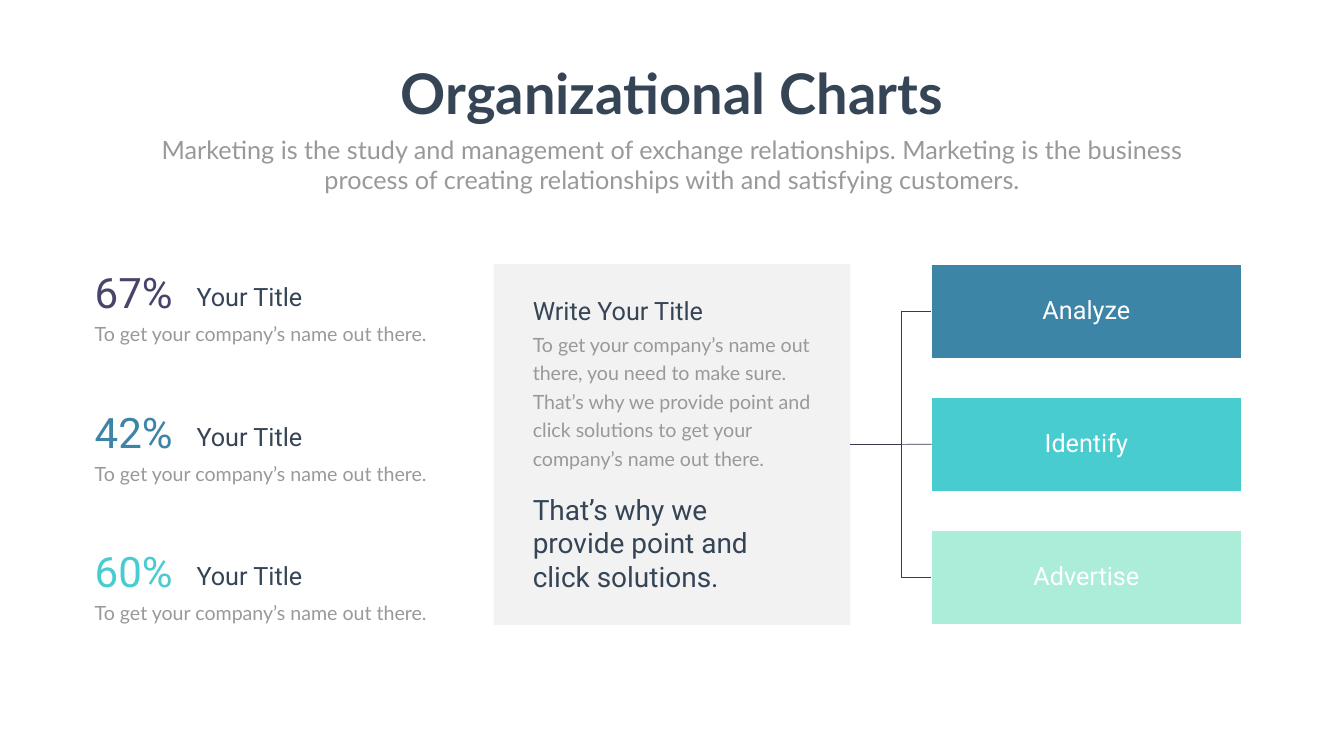
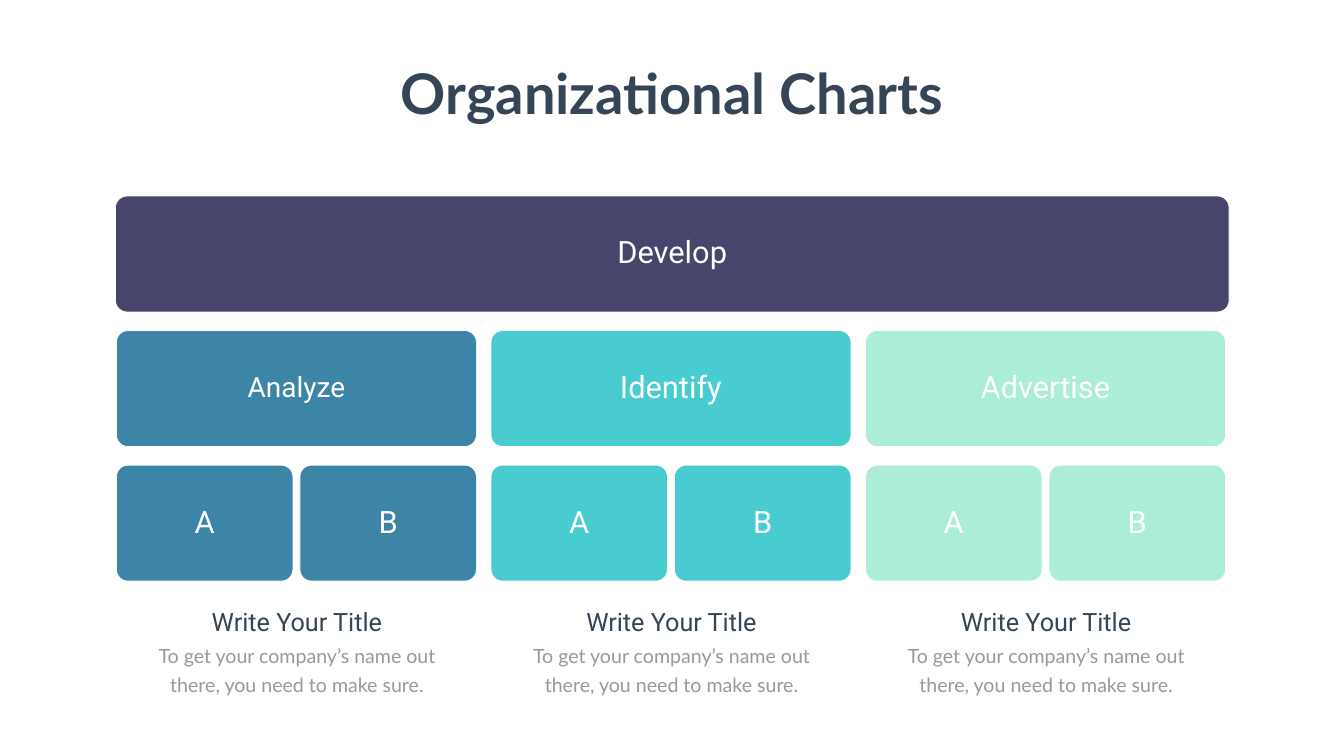
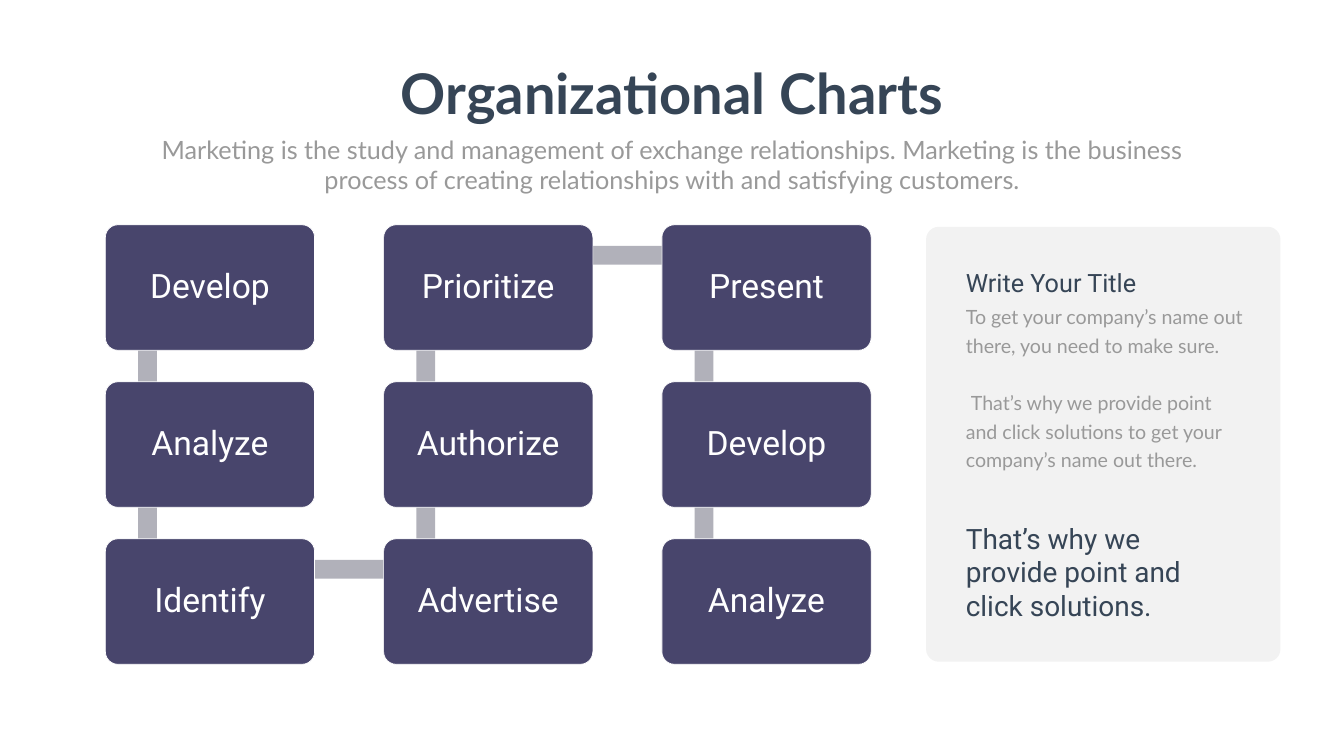
import pptx
import pptx.util
import pptx.dml.color
import pptx.enum.shapes
import pptx.enum.text
import pptx.oxml.ns
from lxml import etree

Inches, Pt = pptx.util.Inches, pptx.util.Pt
Shape = pptx.enum.shapes.MSO_SHAPE
Align = pptx.enum.text.PP_ALIGN
Anchor = pptx.enum.text.MSO_ANCHOR
Fit = pptx.enum.text.MSO_AUTO_SIZE
qn = pptx.oxml.ns.qn

COLORS = {
    "plum": "48456C", "blue": "3C85A7", "teal": "48CCCF", "mint": "ABEDD8",
    "ink": "364556", "gray": "999999", "panel": "808080", "bar": "B1B1BA",
    "line": "3A3756", "white": "FFFFFF",
}
WIDTH, HEIGHT = 26.66, 15
LEAD = 40.8  # line pitch of body text, in points

TITLE = "Organizational Charts"
INTRO = ("Marketing is the study and management of exchange relationships. "
         "Marketing is the business process of creating relationships with "
         "and satisfying customers.")
HEAD = "Write Your Title"
SHORT = "To get your company’s name out there, you need to make sure."
LONG = ("That’s why we provide point and click solutions to get your "
        "company’s name out there.")
QUOTE = "That’s why we provide point and click solutions."

STATS = [("67%", "plum"), ("42%", "blue"), ("60%", "teal")]
STAT_HEAD = "Your Title"
STAT_BODY = "To get your company’s name out there."
STEPS = [("Analyze", "blue", 40), ("Identify", "teal", 44),
         ("Advertise", "mint", 44)]
ROOT = "Develop"
PARTS = ["A", "B"]
CHAIN = [["Develop", "Analyze", "Identify"],
         ["Prioritize", "Authorize", "Advertise"],
         ["Present", "Develop", "Analyze"]]


def rgb(name):
    return pptx.dml.color.RGBColor.from_string(COLORS[name])


def write(shape, *paras, size, color="ink", font="Roboto", bold=False,
          align=Align.LEFT, lead=None, gap=0, indent=0):
    """Fill a shape with paragraphs; gap and indent apply after the first."""
    frame = shape.text_frame
    for i, words in enumerate(paras):
        para = frame.paragraphs[0] if i == 0 else frame.add_paragraph()
        run = para.add_run()
        run.text = words
        para.alignment = align
        if lead:
            para.line_spacing = lead
        if i and gap:
            para.space_before = Pt(gap)
        if i and indent:
            para._p.get_or_add_pPr().set("indent", str(Inches(indent)))
        run.font.size, run.font.name, run.font.bold = Pt(size), font, bold
        run.font.color.rgb = rgb(color)


def label(slide, x, y, w, h, *paras, wrap=True, **form):
    box = slide.shapes.add_textbox(Inches(x), Inches(y), Inches(w), Inches(h))
    box.text_frame.word_wrap = wrap
    box.text_frame.auto_size = Fit.SHAPE_TO_FIT_TEXT
    write(box, *paras, **form)


def block(slide, x, y, w, h, fill, words="", size=36, curve=0, edge=True,
          alpha=None):
    """Draw a filled box, rounded when curve is set, with a centred label."""
    kind = Shape.ROUNDED_RECTANGLE if curve else Shape.RECTANGLE
    box = slide.shapes.add_shape(kind, Inches(x), Inches(y),
                                 Inches(w), Inches(h))
    box.shadow.inherit = False
    if curve:
        box.adjustments[0] = curve
    box.fill.solid()
    box.fill.fore_color.rgb = rgb(fill)
    if alpha:
        tone = box._element.spPr.find(qn("a:solidFill"))[0]
        etree.SubElement(tone, qn("a:alpha")).set("val", str(alpha * 1000))
    if edge:
        box.line.color.rgb = rgb("white")
        box.line.width = Pt(1)
    else:
        box.line.fill.background()
    if words:
        frame = box.text_frame
        frame.word_wrap = True
        frame.vertical_anchor = Anchor.MIDDLE
        write(box, words, size=size, color="white", align=Align.CENTER,
              lead=0.9)
    return box


def body(slide, x, y, w, rows, *paras, **form):
    label(slide, x, y, w, 0.05 + 0.575 * rows, *paras, size=28, font="Lato",
          color="gray", lead=Pt(LEAD), **form)


def note(slide, x, y, rows, *paras, extra=0, align=Align.LEFT, **form):
    """Put a heading over body text; extra widens the body on both sides."""
    body(slide, x - extra, y + 0.65, 5.72 + 2 * extra, rows, *paras,
         align=align, **form)
    label(slide, x, y, 5.72, 0.71, HEAD, size=36, align=align)


def quote(slide, x, y):
    label(slide, x, y, 5.31, 2.12, QUOTE, size=40)


def start(deck, intro=True):
    """Add a slide with the shared title and, if wanted, the intro."""
    slide = deck.slides.add_slide(deck.slide_layouts[6])
    label(slide, 7.7, 1.12, 11.26, 1.45, TITLE, wrap=False, size=80,
          font="Lato", bold=True, align=Align.CENTER)
    if intro:
        label(slide, 2.92, 2.61, 20.82, 1.31, INTRO, size=36, font="Lato",
              color="gray", align=Align.CENTER)
    return slide


def ink(line):
    line.color.rgb = rgb("line")
    line.width = Pt(1)


def elbow(slide, *points):
    spots = [(Inches(x), Inches(y)) for x, y in points]
    pen = slide.shapes.build_freeform(*spots[0])
    pen.add_line_segments(spots[1:], close=False)
    path = pen.convert_to_shape()
    path.shadow.inherit = False
    path.fill.background()
    ink(path.line)


def link(slide, left, right):
    wire = slide.shapes.add_connector(
        pptx.enum.shapes.MSO_CONNECTOR.STRAIGHT, 0, 0, 0, 0)
    wire.begin_connect(left, 3)
    wire.end_connect(right, 1)
    ink(wire.line)
    etree.SubElement(wire._element.spPr, qn("a:effectLst"))


def branch(deck):
    slide = start(deck)
    left, top, step, tall = 18.48, 5.24, 2.64, 1.87
    mid, bend, edge = top + step + tall / 2, 17.87, 16.87
    for side in (-1, 1):
        end = mid + side * step
        elbow(slide, (edge, mid), (bend, mid), (bend, end), (left, end))
    panel = block(slide, 9.79, top, 7.08, 7.16, "panel", edge=False, alpha=10)
    boxes = [block(slide, left, top + i * step, 6.14, tall, color, name)
             for i, (name, color, _) in enumerate(STEPS)]
    link(slide, panel, boxes[1])
    note(slide, 10.47, 5.8, 5, f"{SHORT} {LONG}")
    quote(slide, 10.47, 9.72)
    for i, (share, color) in enumerate(STATS):
        y = top + i * 2.77
        body(slide, 1.78, y + 1, 7.08, 1, STAT_BODY)
        label(slide, 3.8, y + 0.29, 3.1, 0.71, STAT_HEAD, size=36)
        label(slide, 1.78, y, 2.09, 1.11, share, size=60, color=color)


def tree(deck):
    slide = start(deck, intro=False)
    left, top, tall, wide, part = 2.31, 3.89, 2.3, 7.14, 3.5
    across, down = 7.43, 2.67
    block(slide, 2.29, top, 22.09, tall, "plum", ROOT, 44, curve=0.1)
    for i, (name, color, size) in enumerate(STEPS):
        x = left + i * across
        block(slide, x, top + down, wide, tall, color, name, size, curve=0.1)
        for j, mark in enumerate(PARTS):
            block(slide, x + j * (wide - part), top + 2 * down, part, tall,
                  color, mark, 44, curve=0.1)
        note(slide, x + 0.72, 11.98, 2, SHORT, extra=0.25,
             align=Align.CENTER)


def chain(deck):
    slide = start(deck)
    left, top, wide, tall = 2.09, 4.46, 4.15, 2.49
    across, down, thick = 5.52, 3.115, 0.37
    cells = [(left + c * across, top + r * down, name)
             for c, names in enumerate(CHAIN) for r, name in enumerate(names)]
    for x, y, _ in cells:
        if y < top + 2 * down - 0.01:
            block(slide, x + 0.65, y + 0.62, thick, 3.1, "bar", edge=False)
    for col, row in ((0, 2), (1, 0)):
        block(slide, left + col * across + 0.84, top + row * down + 0.42,
              5.51, thick, "bar", edge=False)
    for x, y, name in cells:
        block(slide, x, y, wide, tall, "plum", name, 48, curve=0.1)
    block(slide, 18.37, 4.5, 7.03, 8.63, "panel", curve=0.036, edge=False,
          alpha=10)
    note(slide, 19.06, 5.26, 6, SHORT, LONG, gap=LEAD, indent=0.1)
    quote(slide, 19.06, 10.29)


def main():
    deck = pptx.Presentation()
    deck.slide_width, deck.slide_height = Inches(WIDTH), Inches(HEIGHT)
    for build in (branch, tree, chain):
        build(deck)
    deck.save("out.pptx")


if __name__ == "__main__":
    main()
